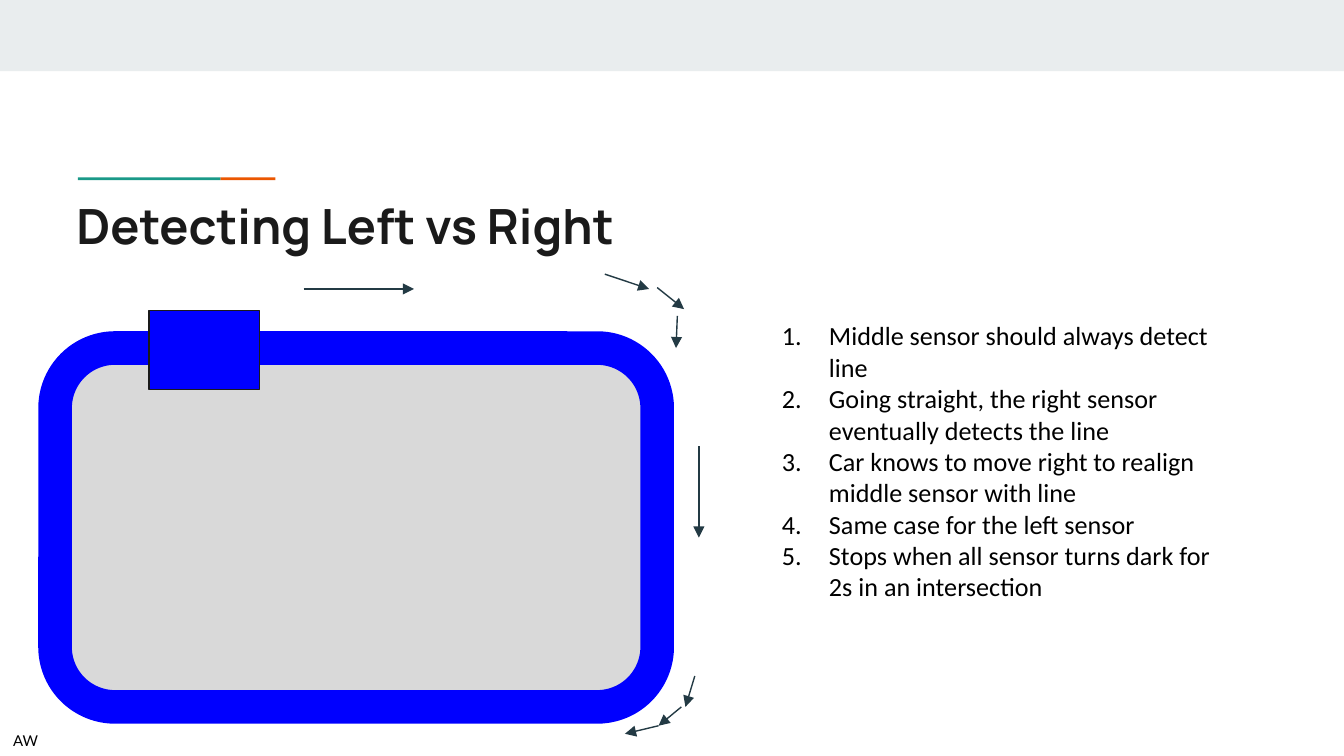
import pptx
import pptx.dml.color
import pptx.enum.shapes
import pptx.oxml
import pptx.oxml.ns
import pptx.util
from pptx.util import Inches

SHAPES = pptx.enum.shapes.MSO_SHAPE
INK = "1A1A1A"
TRACK = "0000FF"
ARROW = "233A44"
STEPS = [
    "Middle sensor should always detect line",
    "Going straight, the right sensor eventually detects the line",
    "Car knows to move right to realign middle sensor with line",
    "Same case for the left sensor",
    "Stops when all sensor turns dark for 2s in an intersection",
]
ARROWS = [
    (2.26, 2.15, 3.08, 2.15),
    (4.5, 2.04, 4.83, 2.15),
    (4.89, 2.14, 5.09, 2.3),
    (5.04, 2.35, 5.03, 2.59),
    (5.07, 5.26, 4.9, 5.4),
    (5.17, 5.03, 5.1, 5.26),
    (4.9, 5.4, 4.65, 5.46),
    (5.2, 3.32, 5.2, 4),
]


def color(value):
    return pptx.dml.color.RGBColor.from_string(value)


def add_xml(parent, tag, **attrs):
    el = pptx.oxml.parse_xml(f"<a:{tag} {pptx.oxml.ns.nsdecls('a')}/>")
    for name, value in attrs.items():
        el.set(name, str(value))
    parent.append(el)
    return el


def add_block(s, kind, box, fill, line=None, width=0.75):
    sp = s.shapes.add_shape(kind, *map(Inches, box))
    sp.shadow.inherit = False
    sp.fill.solid()
    sp.fill.fore_color.rgb = color(fill)
    if line:
        sp.line.color.rgb = color(line)
        sp.line.width = pptx.util.Pt(width)
    else:
        sp.line.fill.background()
    return sp


def number_paragraph(p):
    pPr = p._p.get_or_add_pPr()
    pPr.set("marL", str(Inches(0.5)))
    pPr.set("indent", str(Inches(-0.35)))
    add_xml(add_xml(pPr, "buClr"), "srgbClr", val="000000")
    add_xml(pPr, "buFont", typeface="Calibri")
    add_xml(pPr, "buAutoNum", type="arabicPeriod")


def add_text(s, box, lines, rgb, numbered=False, **font):
    sp = s.shapes.add_textbox(*map(Inches, box))
    tf = sp.text_frame
    tf.word_wrap = True
    for side in ("left", "top", "right", "bottom"):
        setattr(tf, f"margin_{side}", Inches(0.1))
    for i, line in enumerate(lines):
        p = tf.paragraphs[0] if i == 0 else tf.add_paragraph()
        if numbered:
            number_paragraph(p)
        r = p.add_run()
        r.text = line
        for name, value in font.items():
            setattr(r.font, name, value)
        r.font.color.rgb = color(rgb)


def add_arrow(s, ends):
    cx = s.shapes.add_connector(
        pptx.enum.shapes.MSO_CONNECTOR.STRAIGHT, *map(Inches, ends))
    cx.line.color.rgb = color(ARROW)
    cx.line.width = pptx.util.Pt(0.75)
    add_xml(cx.line._get_or_add_ln(), "tailEnd", type="triangle")
    add_xml(cx._element.spPr, "effectLst")


def main():
    prs = pptx.Presentation()
    prs.slide_width = Inches(10)
    prs.slide_height = prs.slide_width * 9 // 16
    s = prs.slides.add_slide(prs.slide_layouts[6])
    pt = pptx.util.Pt

    add_block(s, SHAPES.RECTANGLE, (0, 0, 10, 0.53), "E9EDEE")
    add_block(s, SHAPES.RECTANGLE, (1.64, 1.32, 0.41, 0.02), "EB5600")
    add_block(s, SHAPES.RECTANGLE, (0.58, 1.32, 1.06, 0.02), "1A9988")
    track = add_block(s, SHAPES.ROUNDED_RECTANGLE, (0.41, 2.59, 4.48, 2.67),
                      "D9D9D9", TRACK, 18)
    track.adjustments[0] = 0.167

    add_text(s, (0.47, 1.36, 8.41, 0.59), ["Detecting Left vs Right"], INK,
             name="Manrope", size=pt(26), bold=True)
    add_text(s, (5.57, 2.28, 3.64, 2.47), STEPS, "000000", numbered=True,
             name="Calibri", size=pt(14))
    for ends in ARROWS:
        add_arrow(s, ends)
    add_text(s, (0, 5.38, 0.41, 0.28), ["AW"], "000000",
             name="Lato", size=pt(8))
    add_block(s, SHAPES.RECTANGLE, (1.11, 2.31, 0.82, 0.59), TRACK, INK)

    prs.save("out.pptx")


if __name__ == "__main__":
    main()
